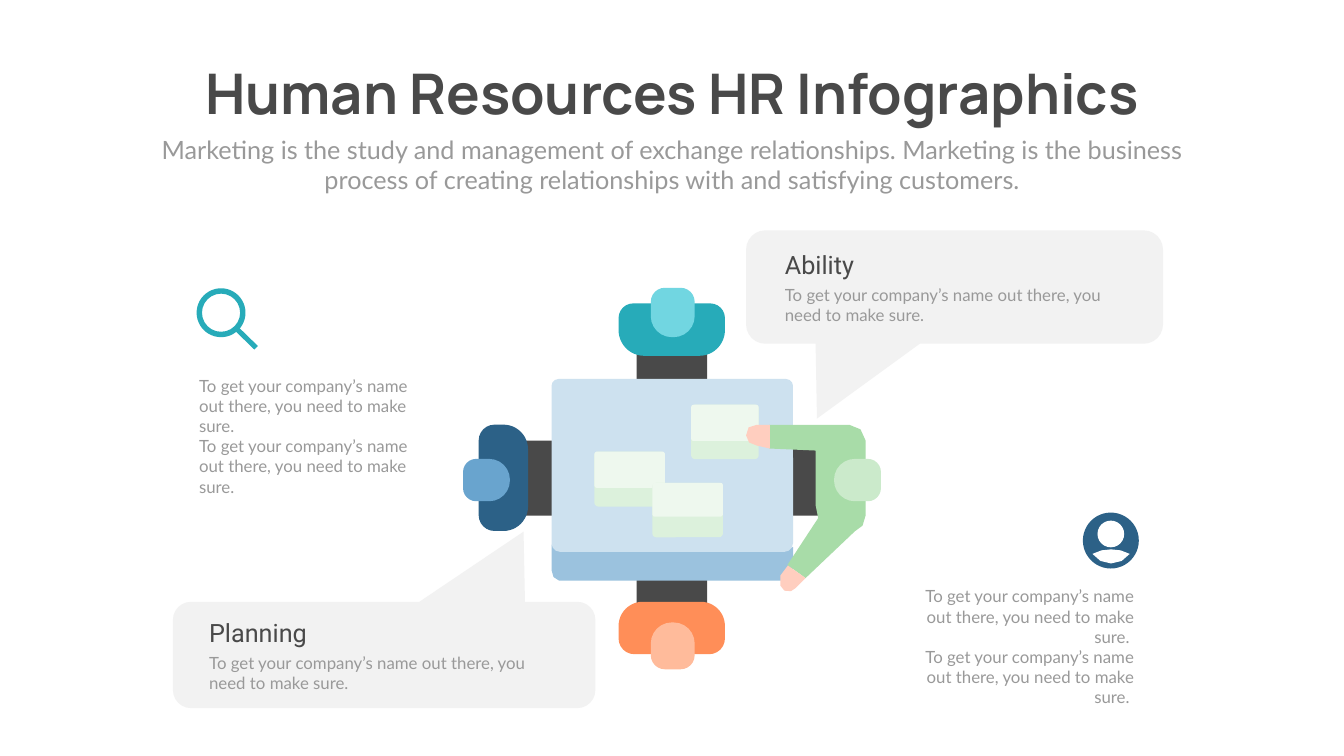
"""Build the Human Resources HR infographic slide."""
import lxml.etree
import pptx
import pptx.dml.color
import pptx.enum.shapes
import pptx.enum.text
import pptx.oxml.ns
import pptx.util

Inches = pptx.util.Inches
RGB = pptx.dml.color.RGBColor.from_string
SHAPE = pptx.enum.shapes.MSO_SHAPE
ALIGN = pptx.enum.text.PP_ALIGN

COLORS = {
    "dark": "494949", "gray": "999999", "bubble": "F2F2F2", "white": "FFFFFF",
    "table": "CDE1EF", "table_edge": "9BC2DE",
    "orange": "FF8E58", "peach": "FFBB9B", "teal": "27ABB9", "aqua": "71D6E1",
    "navy": "2C6187", "blue": "69A4CE", "green": "A8DCA8", "mint": "CBEACB",
    "paper": "EEF8EE", "paper_edge": "DCF1DC", "skin": "FFCEBF",
}


def paint(sp, color, adjustments=(), rotation=0):
    """Give a shape its flat fill, adjustments and rotation."""
    for i, value in enumerate(adjustments):
        sp.adjustments[i] = value
    sp.rotation = rotation
    sp.shadow.inherit = False
    sp.fill.solid()
    sp.fill.fore_color.rgb = RGB(COLORS[color])
    sp.line.fill.background()


def outline(shapes, color, points):
    """Draw a filled polygon."""
    corners = [(Inches(x), Inches(y)) for x, y in points]
    builder = shapes.build_freeform(*corners[0])
    builder.add_line_segments(corners[1:], close=True)
    paint(builder.convert_to_shape(), color)


prs = pptx.Presentation()
prs.slide_width, prs.slide_height = Inches(26.66), Inches(15)
s = prs.slides.add_slide(prs.slide_layouts[6])

chairs = [(10.1, 8.74, 1.09, 1.49), (15.42, 8.74, 1.13, 1.49),
          (12.63, 11.02, 1.4, 1.44), (12.63, 6.33, 1.4, 1.44)]
for chair in chairs:
    paint(s.shapes.add_shape(SHAPE.RECTANGLE, *map(Inches, chair)), "dark")

outline(s.shapes, "table_edge", [
    (10.94, 10.8), (11.03, 10.9), (11.2, 10.95), (15.47, 10.95),
    (15.63, 10.91), (15.73, 10.85), (15.73, 11.52), (11.09, 11.52),
    (10.98, 11.45), (10.94, 11.31)])
sp = s.shapes.add_shape(SHAPE.ROUND_2_SAME_RECTANGLE,
                        *map(Inches, (10.94, 7.52, 4.79, 3.43)))
paint(sp, "table", (0.04, 0.05))

people = [
    ("orange", 12.27, 11.94, 2.11, 1.04, 0.46, 0.3, 0),
    ("peach", 12.91, 12.35, 0.87, 0.93, 0.48, 0.32, 0),
    ("teal", 12.27, 6.02, 2.11, 1.04, 0.28, 0.49, 0),
    ("aqua", 12.91, 5.71, 0.87, 0.98, 0.32, 0.48, 0),
    ("navy", 8.93, 8.99, 2.11, 0.98, 0.32, 0.5, 270),
    ("blue", 9.23, 9.06, 0.84, 0.93, 0.31, 0.49, 270),
]
for color, *place, top, bottom, angle in people:
    sp = s.shapes.add_shape(SHAPE.ROUND_2_SAME_RECTANGLE, *map(Inches, place))
    paint(sp, color, (top, bottom), angle)

papers = [(13.71, 8.03, 1.34, 1.08, 0.72), (11.79, 8.96, 1.4, 1.09, 0.72),
          (12.94, 9.58, 1.4, 1.08, 0.67)]
for left, top, width, height, fold in papers:
    for color, length in (("paper_edge", height), ("paper", fold)):
        sp = s.shapes.add_shape(SHAPE.ROUNDED_RECTANGLE, Inches(left),
                                Inches(top), Inches(width), Inches(length))
        paint(sp, color, (0.07,))

outline(s.shapes, "green", [
    (15.26, 8.43), (16.85, 8.43), (17.07, 8.52), (17.17, 8.74),
    (17.17, 10.23), (17.11, 10.43), (16.96, 10.54), (15.98, 11.47),
    (15.62, 11.21), (16.23, 10.28), (16.18, 10.03), (16.18, 8.94),
    (15.26, 8.9)])
sp = s.shapes.add_shape(SHAPE.ROUND_2_SAME_RECTANGLE,
                        *map(Inches, (16.59, 9.06, 0.84, 0.93)))
paint(sp, "mint", (0.49, 0.31), 270)
outline(s.shapes, "skin", [
    (15.27, 8.43), (15.27, 8.9), (15.01, 8.84), (14.86, 8.78),
    (14.8, 8.64), (14.85, 8.48), (15.01, 8.43)])
outline(s.shapes, "skin", [
    (15.63, 11.22), (15.98, 11.47), (15.78, 11.67), (15.69, 11.73),
    (15.56, 11.72), (15.48, 11.62), (15.48, 11.42)])

for *place, angle in [(14.8, 4.57, 8.27, 2.25, 0), (3.43, 11.94, 8.38, 2.11, 180)]:
    sp = s.shapes.add_shape(SHAPE.ROUNDED_RECTANGULAR_CALLOUT, *map(Inches, place))
    paint(sp, "bubble", (-0.33, 1.16, 0.17), angle)

advice = "To get your company’s name out there, you need to make sure."
subtitle = ("Marketing is the study and management of exchange relationships. "
            "Marketing is the business process of creating relationships with "
            "and satisfying customers.")
title_style = ("Manrope", 80, "dark")
subtitle_style = ("Lato", 36, "gray")
heading_style = ("Roboto", 36, "dark")
body_style = ("Lato", 24, "gray")
texts = [
    ((3.28, 1.12, 20.11, 1.45), title_style, ALIGN.CENTER,
     ["Human Resources HR Infographics"]),
    ((2.92, 2.61, 20.82, 1.31), subtitle_style, ALIGN.CENTER, [subtitle]),
    ((15.47, 5.6, 7.12, 0.91), body_style, ALIGN.LEFT, [advice]),
    ((15.47, 4.89, 3.26, 0.71), heading_style, ALIGN.LEFT, ["Ability"]),
    ((4.05, 12.9, 7.12, 0.91), body_style, ALIGN.LEFT, [advice]),
    ((4.05, 12.19, 3.26, 0.71), heading_style, ALIGN.LEFT, ["Planning"]),
    ((3.85, 7.4, 4.79, 1.72), body_style, ALIGN.LEFT, [advice] * 2),
    ((17.8, 11.58, 4.79, 1.72), body_style, ALIGN.RIGHT, [advice + " "] * 2),
]
for place, (font, size, color), align, lines in texts:
    tf = s.shapes.add_textbox(*map(Inches, place)).text_frame
    tf.word_wrap = font != "Manrope"
    for i, line in enumerate(lines):
        p = tf.add_paragraph() if i else tf.paragraphs[0]
        p.alignment = align
        r = p.add_run()
        r.text = line
        r.font.name = font
        r.font.size = pptx.util.Pt(size)
        r.font.bold = font == "Manrope"
        r.font.color.rgb = RGB(COLORS[color])

sp = s.shapes.add_shape(SHAPE.DONUT, *map(Inches, (3.9, 5.72, 0.97, 0.97)))
paint(sp, "teal", (0.11,))
handle = s.shapes.add_connector(pptx.enum.shapes.MSO_CONNECTOR.STRAIGHT,
                                *map(Inches, (4.7, 6.53, 5.08, 6.9)))
handle.line.color.rgb = RGB(COLORS["teal"])
handle.line.width = Inches(0.1)
sp_pr = handle._element.spPr
lxml.etree.SubElement(sp_pr, pptx.oxml.ns.qn("a:effectLst"))

for color, *place in [("navy", 21.48, 10.17, 1.11, 1.11),
                      ("white", 21.77, 10.33, 0.53, 0.53)]:
    paint(s.shapes.add_shape(SHAPE.OVAL, *map(Inches, place)), color)
outline(s.shapes, "white", [
    (21.67, 10.99), (21.85, 10.92), (22.04, 10.9), (22.23, 10.92),
    (22.41, 10.99), (22.25, 11.13), (22.04, 11.18), (21.83, 11.13)])

prs.save("out.pptx")
